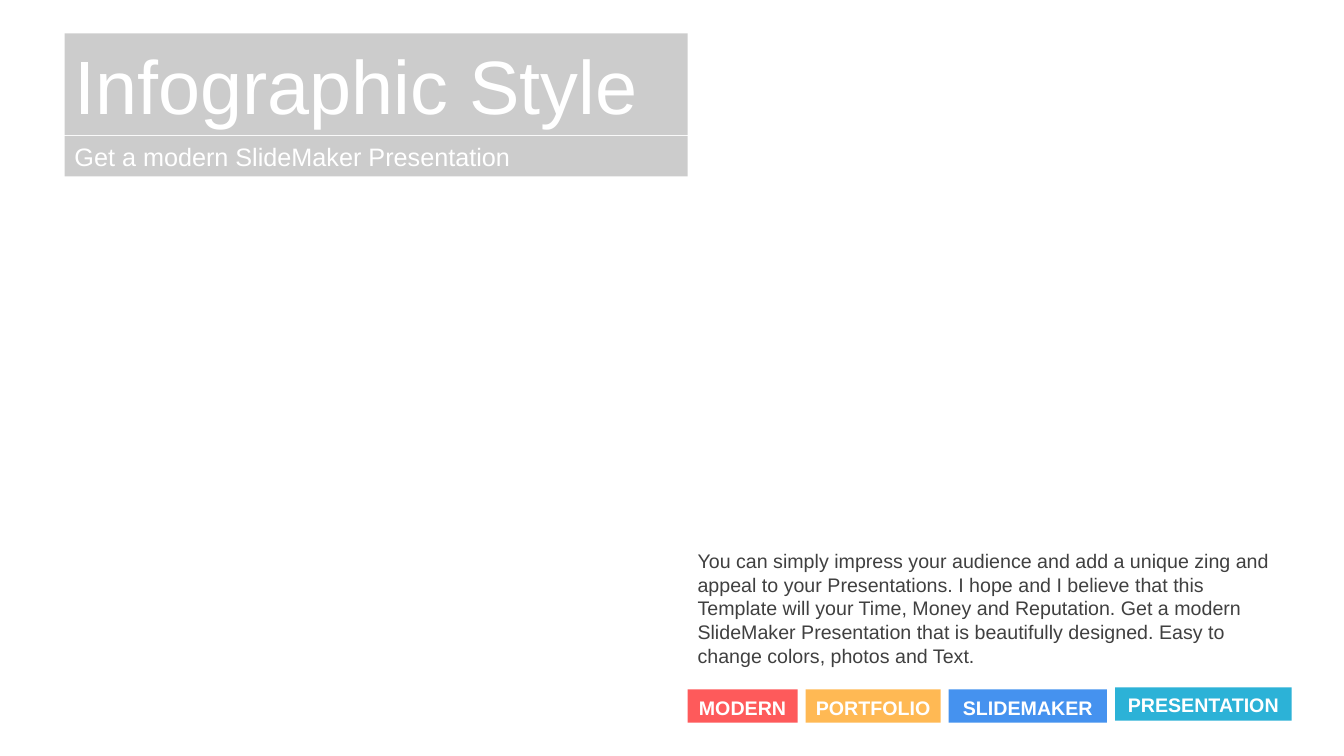
from lxml import etree
from pptx import Presentation
from pptx import util as u
from pptx.dml.color import RGBColor
from pptx.enum import shapes, text
from pptx.oxml.ns import qn

PX = 9144
FONT = "Arial"
WHITE = RGBColor(0xFF, 0xFF, 0xFF)
BLACK = RGBColor(0x00, 0x00, 0x00)
GREY = RGBColor(0x40, 0x40, 0x40)
RED = RGBColor(0xFE, 0x5A, 0x5B)
ORANGE = RGBColor(0xFF, 0xB9, 0x54)
BLUE = RGBColor(0x45, 0x92, 0xEF)
CYAN = RGBColor(0x2C, 0xB2, 0xD7)

TAGS = [
    ("MODERN", 109, 0, RED),
    ("PORTFOLIO", 134, 0, ORANGE),
    ("SLIDEMAKER", 157, 0, BLUE),
    ("PRESENTATION", 175, -2, CYAN),
]
BODY = (
    "You can simply impress your audience and add a unique zing and appeal to your "
    "Presentations. I hope and I believe that this Template will your Time, Money and "
    "Reputation. Get a modern SlideMaker Presentation that is beautifully designed. "
    "Easy to change colors, photos and Text."
)


def px(*lengths):
    """Turn whole pixels into EMU."""
    return [u.Emu(length * PX) for length in lengths]


def write(shape, words, size, color=WHITE, bold=False, align=text.PP_ALIGN.LEFT,
          anchor=text.MSO_ANCHOR.TOP, insets=(10, 5, 10, 5), spacing=None, grow=False):
    """Put one formatted paragraph into a shape."""
    frame = shape.text_frame
    frame.word_wrap = True
    frame.auto_size = text.MSO_AUTO_SIZE.SHAPE_TO_FIT_TEXT if grow else text.MSO_AUTO_SIZE.NONE
    frame.vertical_anchor = anchor
    (frame.margin_left, frame.margin_top,
     frame.margin_right, frame.margin_bottom) = px(*insets)
    paragraph = frame.paragraphs[0]
    paragraph.alignment = align
    paragraph.line_spacing = spacing
    run = paragraph.add_run()
    run.text = words
    run.font.name = FONT
    run.font.size = u.Pt(size)
    run.font.bold = bold
    run.font.color.rgb = color


def add_panel(slide, box, color, opacity=100):
    """Add a borderless filled rectangle."""
    shape = slide.shapes.add_shape(shapes.MSO_SHAPE.RECTANGLE, *px(*box))
    shape.shadow.inherit = False
    shape.line.fill.background()
    shape.fill.solid()
    shape.fill.fore_color.rgb = color
    if opacity < 100:
        fill = shape.fill._xPr.find(qn("a:solidFill"))
        etree.SubElement(fill[0], qn("a:alpha"), val=str(opacity * 1000))
    return shape


def add_heading(slide, left, top, width):
    """Place the title band with the subtitle band under it."""
    title = add_panel(slide, (left, top, width, 101), BLACK, opacity=20)
    write(title, "Infographic Style", 54, align=text.PP_ALIGN.JUSTIFY,
          anchor=text.MSO_ANCHOR.MIDDLE, grow=True)
    subtitle = add_panel(slide, (left, top + 102, width, 40), BLACK, opacity=20)
    write(subtitle, "Get a modern SlideMaker Presentation", 18,
          align=text.PP_ALIGN.JUSTIFY, grow=True)


def add_description(slide, left, top, width):
    """Place the body text."""
    box = slide.shapes.add_textbox(*px(left, top, width, 128))
    write(box, BODY, 14, color=GREY, grow=True)


def add_tags(slide, left, top, gap=8):
    """Place the coloured tags in a row with equal gaps."""
    for label, width, shift, color in TAGS:
        tag = add_panel(slide, (left, top + shift, width, 33), color)
        write(tag, label, 14, bold=True, align=text.PP_ALIGN.CENTER,
              anchor=text.MSO_ANCHOR.MIDDLE, insets=(10, 10, 10, 5), spacing=0.9)
        left += width + gap


def main():
    """Build and save the slide."""
    presentation = Presentation()
    presentation.slide_width, presentation.slide_height = px(1333, 750)
    slide = presentation.slides.add_slide(presentation.slide_layouts[6])
    add_tags(slide, 682, 684)
    add_description(slide, 682, 540, 599)
    add_heading(slide, 64, 33, 618)
    presentation.save("out.pptx")


if __name__ == "__main__":
    main()
